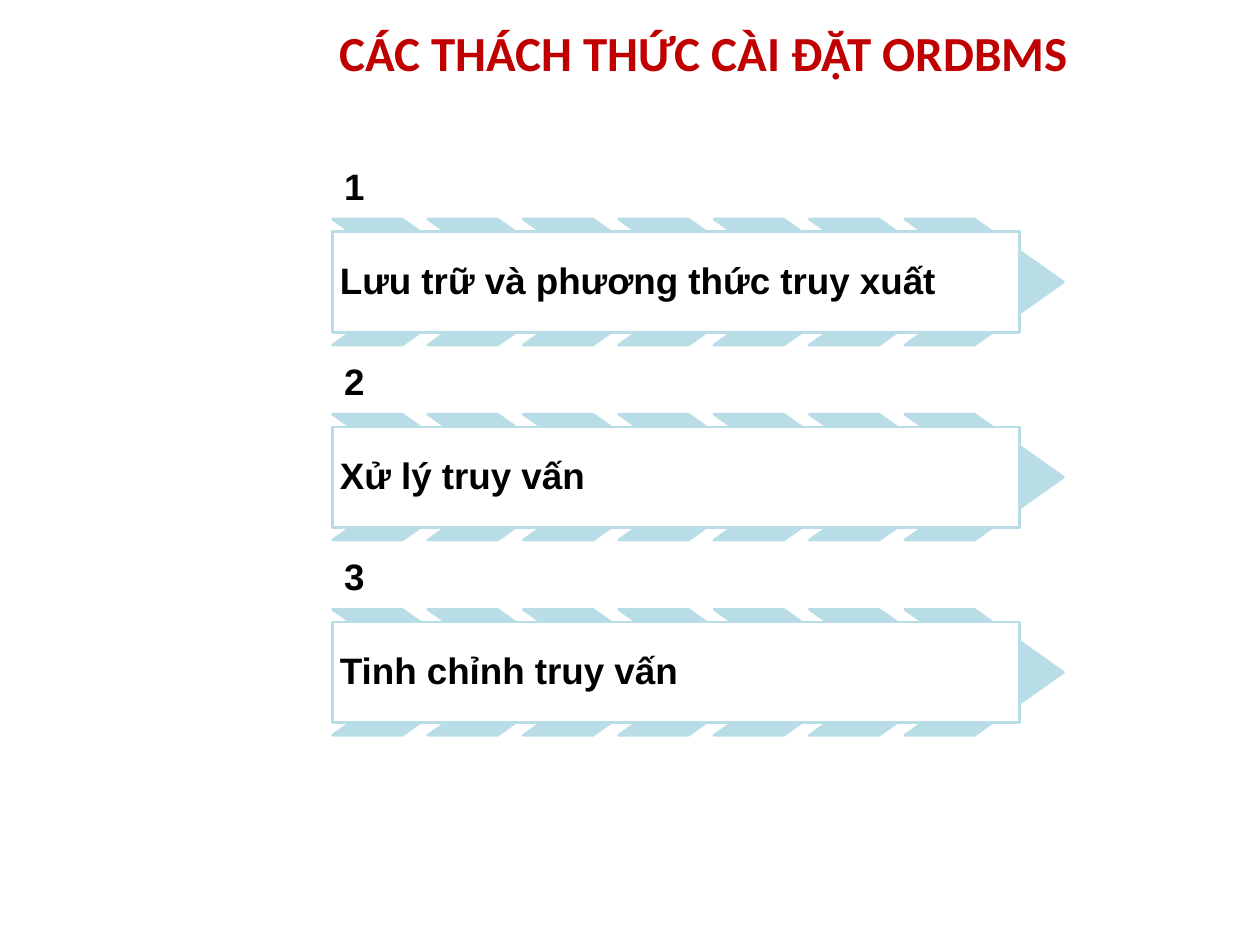
"""Build a slide listing three challenges as chevron bands."""
from pptx import Presentation
from pptx.dml.color import RGBColor
from pptx.enum.shapes import MSO_SHAPE
from pptx.enum.text import MSO_ANCHOR, PP_ALIGN
from pptx.util import Pt

RED = RGBColor(0xC0, 0x00, 0x00)
BLUE = RGBColor(0xB8, 0xDD, 0xE7)
BLACK = RGBColor(0x00, 0x00, 0x00)
WHITE = RGBColor(0xFF, 0xFF, 0xFF)

CHEVRON = MSO_SHAPE.CHEVRON
RECT = MSO_SHAPE.RECTANGLE
ROUND = MSO_SHAPE.ROUNDED_RECTANGLE
TOP, MIDDLE, BOTTOM = MSO_ANCHOR.TOP, MSO_ANCHOR.MIDDLE, MSO_ANCHOR.BOTTOM
LEFT, CENTER = PP_ALIGN.LEFT, PP_ALIGN.CENTER

HEAD = {"name": "Calibri", "size": Pt(28), "bold": True}
BODY = {"name": "Arial", "size": Pt(21), "bold": True}
MARGINS = ("margin_left", "margin_top", "margin_right", "margin_bottom")

ITEMS = ("Lưu trữ và phương thức truy xuất", "Xử lý truy vấn", "Tinh chỉnh truy vấn")
EDGE, START, PITCH = 190, 90, 111.5
COUNT, STEP = 7, 54.5


def place(box):
    """Convert a box in points to lengths."""
    return [Pt(value) for value in box]


def write(shape, text, look, color, anchor, align=LEFT, insets=None, lines=None):
    """Put one formatted paragraph in a shape."""
    frame = shape.text_frame
    frame.word_wrap = True
    frame.vertical_anchor = anchor
    if insets is not None:
        for side in MARGINS:
            setattr(frame, side, Pt(insets))
    para = frame.paragraphs[0]
    para.alignment = align
    para.line_spacing = lines
    run = para.add_run()
    run.text = text
    for key, value in look.items():
        setattr(run.font, key, value)
    run.font.color.rgb = color


def draw(slide, kind, box, fill, line, width, bend=None):
    """Add a filled and outlined preset shape."""
    shape = slide.shapes.add_shape(kind, *place(box))
    shape.shadow.inherit = False
    shape.fill.solid()
    shape.fill.fore_color.rgb = fill
    shape.line.color.rgb = line
    shape.line.width = Pt(width)
    if bend is not None:
        shape.adjustments[0] = bend
    return shape


def label(slide, box, *args, **kwargs):
    """Add a text box."""
    write(slide.shapes.add_textbox(*place(box)), *args, **kwargs)


def band(slide, index, text):
    """Add a number, its chevron row and the box over it."""
    top = START + index * PITCH
    label(slide, (EDGE, top, 387.5, 35.5), str(index + 1), BODY, BLACK, BOTTOM,
          insets=6.6, lines=0.9)
    for step in range(COUNT):
        box = (EDGE + step * STEP, top + 35.2, 90.7, 72)
        draw(slide, CHEVRON, box, BLUE, BLUE, 1.5, 0.706)
    card = draw(slide, RECT, (EDGE, top + 42.5, 392.5, 57.6), WHITE, BLUE, 1.5)
    write(card, text, BODY, BLACK, MIDDLE, insets=4.2, lines=0.9)


def main():
    """Build and save the slide."""
    deck = Presentation()
    deck.slide_width, deck.slide_height = Pt(720), Pt(540)
    slide = deck.slides.add_slide(deck.slide_layouts[6])
    draw(slide, ROUND, (120, 6, 563, 44.5), WHITE, WHITE, 3)
    label(slide, (120, 9.5, 564, 42), "CÁC THÁCH THỨC CÀI ĐẶT ORDBMS", HEAD, RED,
          TOP, align=CENTER)
    for index, text in enumerate(ITEMS):
        band(slide, index, text)
    deck.save("out.pptx")


if __name__ == "__main__":
    main()
